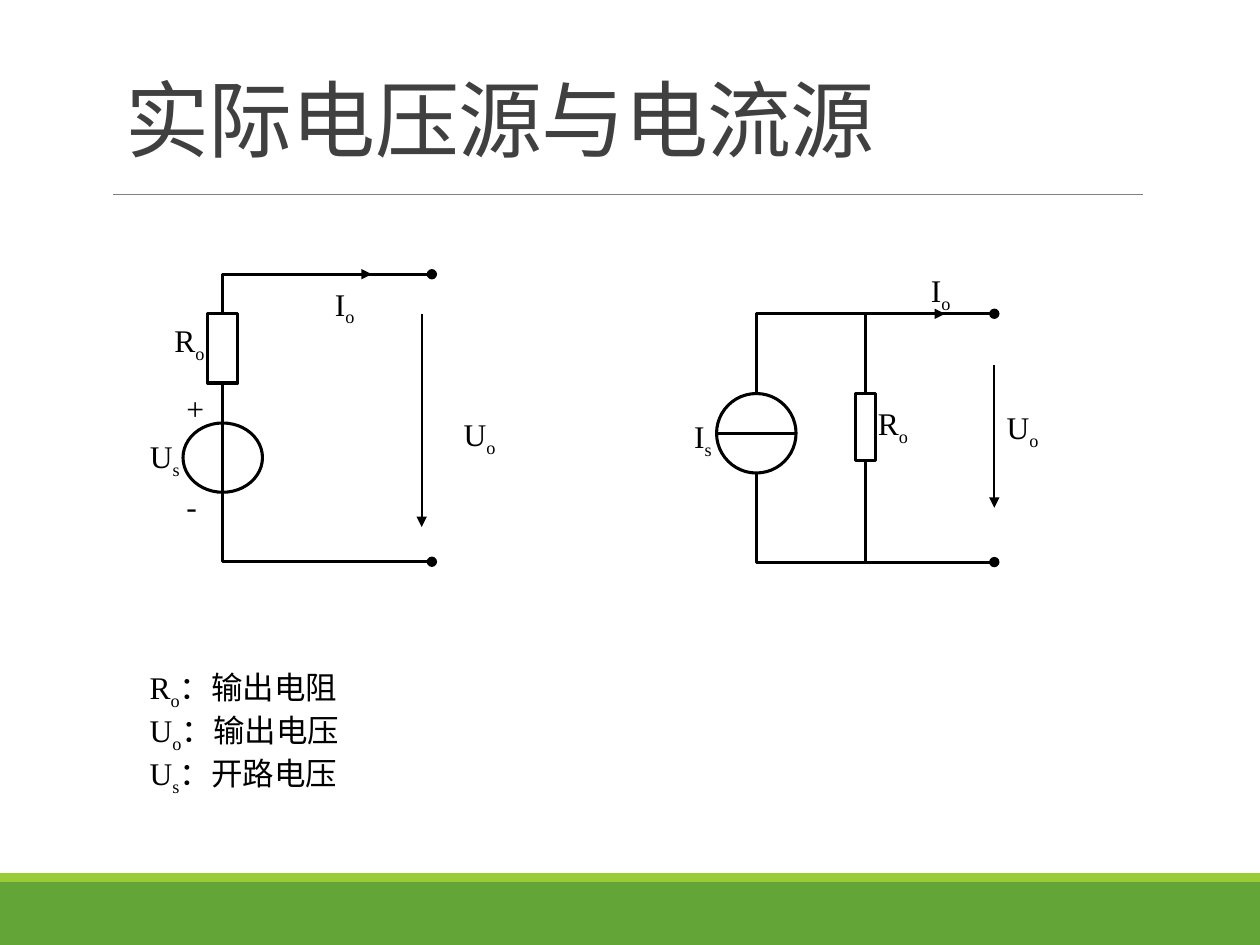
from lxml.etree import SubElement
from pptx import Presentation
from pptx.dml.color import RGBColor
from pptx.enum.shapes import MSO_CONNECTOR as Connector, MSO_SHAPE as Shape
from pptx.enum.text import MSO_ANCHOR as Anchor
from pptx.oxml.ns import qn
from pptx.util import Pt

BLACK = RGBColor(0x00, 0x00, 0x00)
WHITE = RGBColor(0xFF, 0xFF, 0xFF)
TITLE_GRAY = RGBColor(0x40, 0x40, 0x40)
RULE_GRAY = RGBColor(0x80, 0x80, 0x80)
GREEN = RGBColor(0x63, 0xA5, 0x37)
LIME = RGBColor(0x99, 0xCB, 0x38)


class Sketch:
    """Draw circuit elements and text on one page in a shared style."""

    font = "Times New Roman"
    size = 18
    stroke = 1.75

    def __init__(self, page):
        self.page = page

    def outline(self, item, color, width, tail=None):
        item.line.color.rgb = color
        item.line.width = Pt(width)
        if tail:
            SubElement(item.line._get_or_add_ln(), qn("a:tailEnd"), type=tail)

    def shape(self, kind, left, top, width, height, fill=None, line=None):
        item = self.page.shapes.add_shape(kind, Pt(left), Pt(top), Pt(width), Pt(height))
        item.shadow.inherit = False
        if fill is None:
            item.fill.background()
        else:
            item.fill.solid()
            item.fill.fore_color.rgb = fill
        if line is None:
            item.line.fill.background()
        else:
            self.outline(item, line, self.stroke)

    def line(self, start, end, width=stroke, color=BLACK, tail=None):
        ends = [Pt(value) for value in (*start, *end)]
        item = self.page.shapes.add_connector(Connector.STRAIGHT, *ends)
        self.outline(item, color, width, tail)
        SubElement(item._element.spPr, qn("a:effectLst"))

    def wire(self, start, corner, terminal):
        points = [(Pt(x), Pt(y)) for x, y in (start, corner, terminal)]
        builder = self.page.shapes.build_freeform(*points[0])
        builder.add_line_segments(points[1:], close=False)
        item = builder.convert_to_shape()
        item.shadow.inherit = False
        item.fill.background()
        self.outline(item, BLACK, self.stroke, "oval")

    def span(self, para, text, size=size, color=BLACK, **attributes):
        span = para.add_run()
        span.text = text
        span.font.name = self.font
        span.font.size = Pt(size)
        span.font.color.rgb = color
        for name, value in attributes.items():
            span._r.get_or_add_rPr().set(name, value)

    def box(self, left, top, width, height, wrap=True):
        box = self.page.shapes.add_textbox(Pt(left), Pt(top), Pt(width), Pt(height))
        box.text_frame.word_wrap = wrap
        return box.text_frame

    def title(self, text, left, top, width, height):
        frame = self.box(left, top, width, height)
        frame.vertical_anchor = Anchor.BOTTOM
        para = frame.paragraphs[0]
        para.line_spacing = 0.85
        self.span(para, text, 48, TITLE_GRAY, spc="-50")

    def symbol(self, para, letter, index):
        self.span(para, letter)
        if index:
            self.span(para, index, baseline="-25000")

    def label(self, letter, index, left, top, width):
        frame = self.box(left, top, width, 28.8, wrap=False)
        self.symbol(frame.paragraphs[0], letter, index)

    def legend(self, entries, left, top, width, height):
        frame = self.box(left, top, width, height)
        for number, (letter, index, meaning) in enumerate(entries):
            para = frame.add_paragraph() if number else frame.paragraphs[0]
            self.symbol(para, letter, index)
            self.span(para, "：" + meaning)


def draw_voltage_source(sketch):
    branch, terminal, top, middle, bottom = 127.3, 246.8, 156.7, 241.7, 321
    sketch.wire((branch, middle), (branch, top), (terminal, top))
    sketch.shape(Shape.OVAL, branch - 22.7, middle, 45.4, 39.6, line=BLACK)
    sketch.shape(Shape.RECTANGLE, branch - 8.5, 179.3, 17, 39.6, WHITE, BLACK)
    sketch.wire((branch, middle), (branch, bottom), (terminal, bottom))
    sketch.line((241, 179.3), (241, 301.2), 1, tail="triangle")
    sketch.line((178.6, top), (212.4, top), 1.5, tail="triangle")
    for label in (
        ("+", "", 99.4, 218.9, 24.5),
        ("-", "", 99.4, 275, 20.9),
        ("U", "s", 78.5, 246.2, 32.4),
        ("R", "o", 92.6, 180, 32.4),
        ("U", "o", 257.8, 233.6, 33.8),
        ("I", "o", 184.3, 159.1, 26.6),
    ):
        sketch.label(*label)


def draw_current_source(sketch):
    source, branch, terminal, top, bottom = 432.2, 494.6, 568.2, 179.3, 321.2
    radius, center = 22.7, 247.6
    sketch.shape(Shape.OVAL, source - radius, center - radius, 2 * radius, 2 * radius, line=BLACK)
    sketch.line((source - radius, center), (source + radius, center))
    sketch.wire((source, center - radius), (source, top), (terminal, top))
    sketch.wire((source, center + radius), (source, bottom), (terminal, bottom))
    sketch.line((branch, top), (branch, bottom))
    sketch.shape(Shape.RECTANGLE, branch - 5.8, 224.9, 11.6, 38.2, WHITE, BLACK)
    sketch.line((511.9, top), (540, top), tail="triangle")
    sketch.line((terminal, 208.8), (terminal, 290.2), 1, tail="triangle")
    for label in (
        ("I", "o", 524.9, 151.6, 26.6),
        ("U", "o", 568.1, 229.7, 33.8),
        ("I", "s", 389.5, 234.7, 25.2),
        ("R", "o", 494.6, 227.5, 32.4),
    ):
        sketch.label(*label)


def main():
    deck = Presentation()
    deck.slide_width, deck.slide_height = Pt(720), Pt(540)
    sketch = Sketch(deck.slides.add_slide(deck.slide_layouts[6]))
    sketch.shape(Shape.RECTANGLE, 0, 504, 720, 36, GREEN)
    sketch.shape(Shape.RECTANGLE, 0, 499, 720, 5, LIME)
    sketch.line((64.8, 111.2), (653, 111.2), 0.5, RULE_GRAY)
    sketch.title("实际电压源与电流源", 64.8, 22.3, 594, 77.8)
    sketch.legend(
        [("R", "o", "输出电阻"), ("U", "o", "输出电压"), ("U", "s", "开路电压")],
        78.5, 378, 132.5, 94.3,
    )
    draw_voltage_source(sketch)
    draw_current_source(sketch)
    deck.save("out.pptx")


if __name__ == "__main__":
    main()
